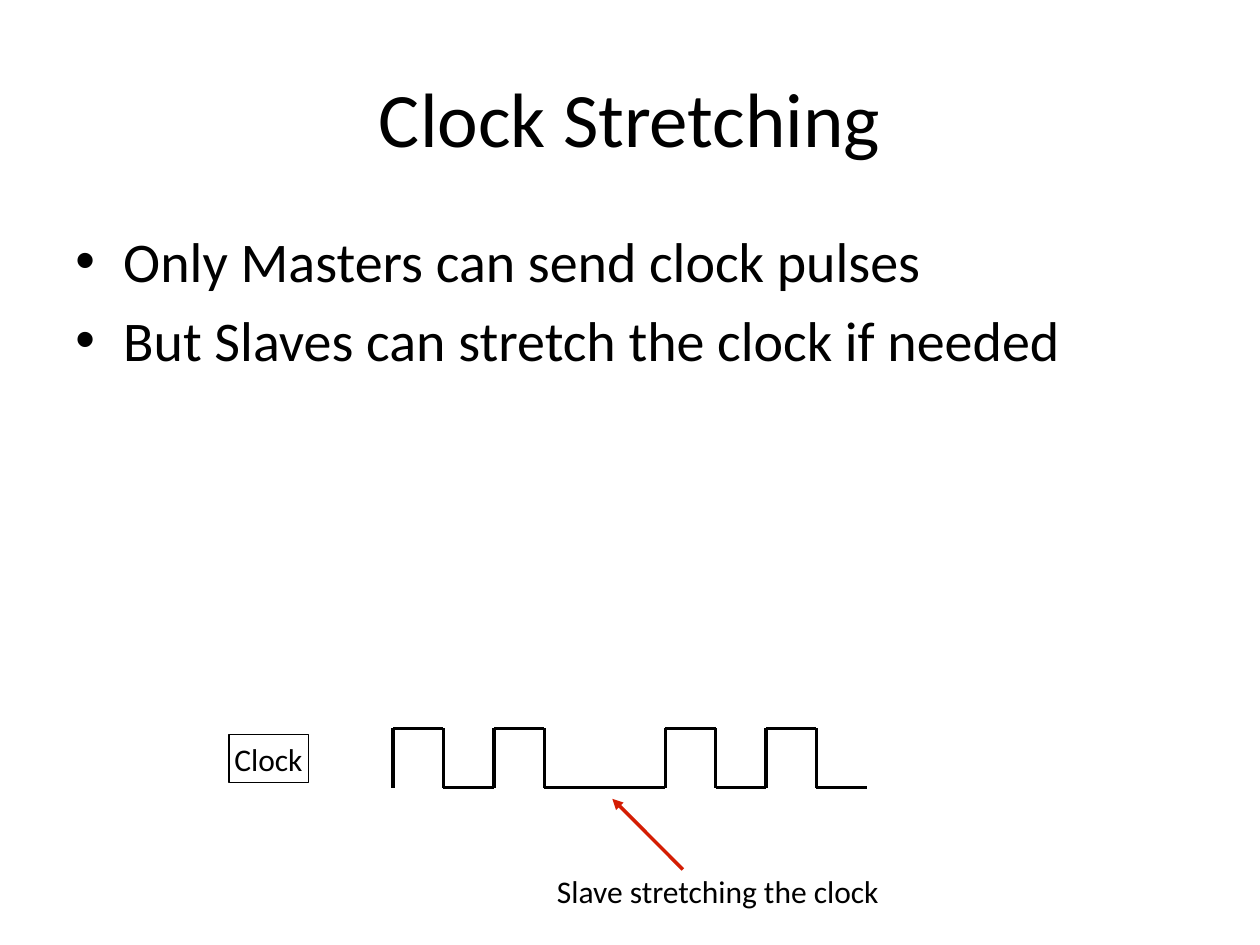
from lxml import etree
from pptx import Presentation
from pptx.dml.color import RGBColor
from pptx.enum import shapes, text
from pptx.oxml.ns import qn
from pptx.util import Inches, Pt

BLACK = RGBColor(0x00, 0x00, 0x00)
RED = RGBColor(0xD4, 0x1D, 0x03)
FONT = "Calibri"

# Clock signal, in inches
HIGH, LOW = 5.78, 6.25
PULSE_WIDTH = 0.4
PULSE_STARTS = [3.12, 3.92, 5.28, 6.08]
SIGNAL_END = 6.88


def format_paragraph(paragraph, size, alignment=text.PP_ALIGN.LEFT):
    paragraph.alignment = alignment
    for run in paragraph.runs:
        run.font.name = FONT
        run.font.size = Pt(size)
        run.font.color.rgb = BLACK


def add_title(slide, title):
    shape = slide.shapes.add_textbox(Inches(0.5), Inches(0.3), Inches(9), Inches(1.25))
    text_frame = shape.text_frame
    text_frame.word_wrap = True
    text_frame.vertical_anchor = text.MSO_ANCHOR.MIDDLE
    text_frame.text = title
    format_paragraph(text_frame.paragraphs[0], 44, text.PP_ALIGN.CENTER)


def add_bullets(slide, items):
    shape = slide.shapes.add_textbox(Inches(0.5), Inches(1.75), Inches(9), Inches(4.95))
    text_frame = shape.text_frame
    text_frame.word_wrap = True
    text_frame.text = "\n".join(items)
    for paragraph in text_frame.paragraphs:
        format_paragraph(paragraph, 32)
        paragraph.space_before = Pt(6.4)
        properties = paragraph._p.get_or_add_pPr()
        properties.set("marL", str(Inches(0.38)))
        properties.set("indent", str(Inches(-0.38)))
        bullet_font = etree.SubElement(properties, qn("a:buFont"))
        bullet_font.set("typeface", "Arial")
        etree.SubElement(properties, qn("a:buChar")).set("char", "•")


def add_label(slide, label, left, top, width, outlined=False):
    shape = slide.shapes.add_shape(
        shapes.MSO_SHAPE.RECTANGLE, Inches(left), Inches(top), Inches(width), Inches(0.38))
    shape.shadow.inherit = False
    shape.fill.background()
    if outlined:
        shape.line.color.rgb = BLACK
        shape.line.width = Pt(1)
    else:
        shape.line.fill.background()
    text_frame = shape.text_frame
    text_frame.margin_left = text_frame.margin_right = Inches(0.04)
    text_frame.margin_top = text_frame.margin_bottom = Inches(0.04)
    text_frame.word_wrap = False
    text_frame.auto_size = text.MSO_AUTO_SIZE.SHAPE_TO_FIT_TEXT
    text_frame.vertical_anchor = text.MSO_ANCHOR.MIDDLE
    text_frame.text = label
    format_paragraph(text_frame.paragraphs[0], 18)


def add_line(slide, start, end, color=BLACK, arrow=False):
    line = slide.shapes.add_connector(
        shapes.MSO_CONNECTOR.STRAIGHT, *(Inches(value) for value in (*start, *end)))
    line.line.color.rgb = color
    line.line.width = Pt(2)
    if arrow:
        tail = etree.SubElement(line.line._get_or_add_ln(), qn("a:tailEnd"))
        tail.set("type", "triangle")
    etree.SubElement(line._element.spPr, qn("a:effectLst"))


def add_clock_signal(slide):
    # Each pulse rises, stays high, falls and stays low until the next one
    for start, following in zip(PULSE_STARTS, PULSE_STARTS[1:] + [SIGNAL_END]):
        fall = start + PULSE_WIDTH
        points = [(start, LOW), (start, HIGH), (fall, HIGH), (fall, LOW), (following, LOW)]
        for begin, end in zip(points, points[1:]):
            add_line(slide, begin, end)


def main():
    presentation = Presentation()
    presentation.slide_width = Inches(10)
    presentation.slide_height = Inches(7.5)
    slide = presentation.slides.add_slide(presentation.slide_layouts[6])

    # Heading and points
    add_title(slide, "Clock Stretching")
    add_bullets(slide, [
        "Only Masters can send clock pulses",
        "But Slaves can stretch the clock if needed",
    ])

    # Timing diagram with the stretched low phase marked
    add_clock_signal(slide)
    add_line(slide, (5.42, 6.9), (4.86, 6.34), RED, arrow=True)
    add_label(slide, "Slave stretching the clock", 4.38, 6.88, 2.68)
    add_label(slide, "Clock", 1.82, 5.83, 0.63, outlined=True)

    presentation.save("out.pptx")


if __name__ == "__main__":
    main()
